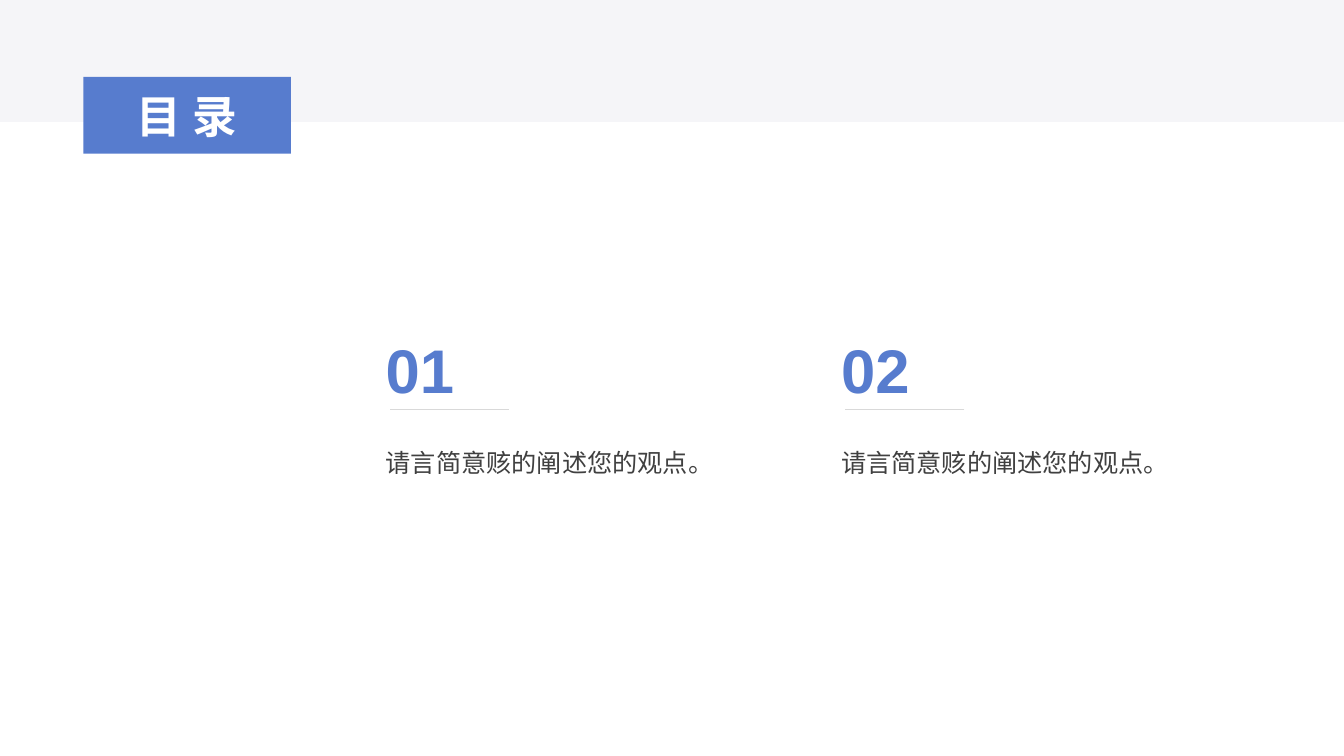
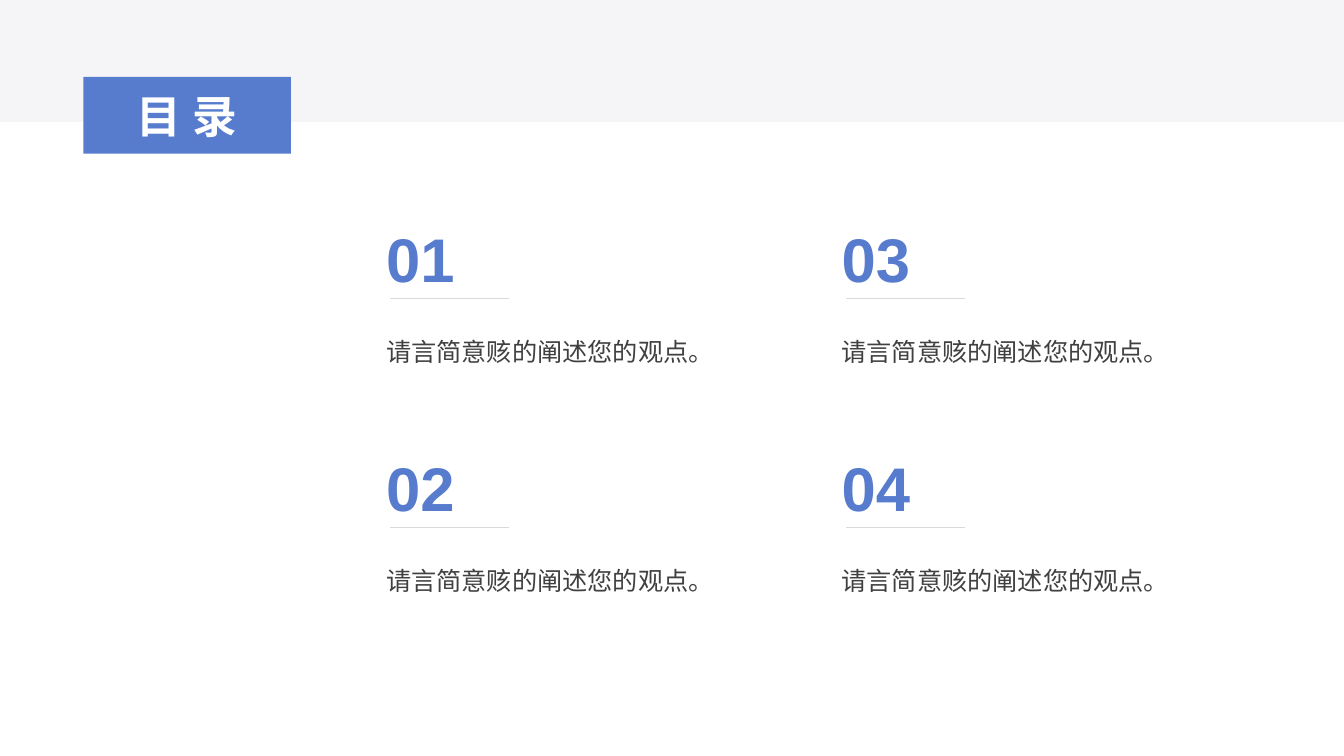
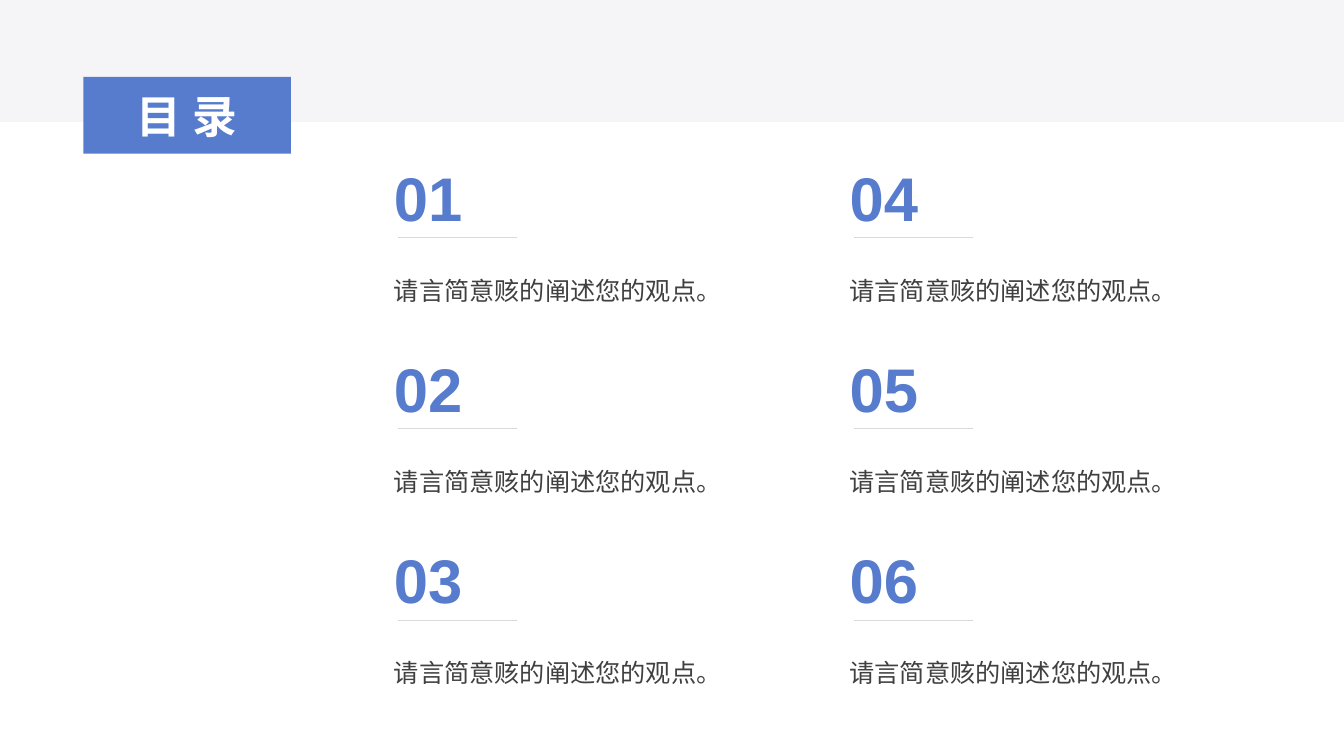
from lxml import etree
from pptx import Presentation
from pptx.dml.color import RGBColor
from pptx.enum.shapes import MSO_CONNECTOR, MSO_SHAPE
from pptx.enum.text import MSO_ANCHOR, PP_ALIGN
from pptx.oxml.ns import qn
from pptx.util import Cm, Pt

RECTANGLE = MSO_SHAPE.RECTANGLE
STRAIGHT = MSO_CONNECTOR.STRAIGHT
MIDDLE = MSO_ANCHOR.MIDDLE
LEFT, CENTER, JUSTIFY = PP_ALIGN.LEFT, PP_ALIGN.CENTER, PP_ALIGN.JUSTIFY

FONT = "Arial"
BLUE, BAND, TEXT, RULE, WHITE = "577CCE", "F5F5F8", "404040", "D9D9D9", "FFFFFF"
SLIDE_WIDTH, SLIDE_HEIGHT = 33.87, 19.05
COLUMNS, COLUMN_PITCH = 2, 11.48
ENTRY_TEXT = "请言简意赅的阐述您的观点。"

AGENDAS = [
    {"rows": 1, "left": 9.47, "top": 8.24, "pitch": 0, "text_height": 2.44},
    {"rows": 2, "left": 9.48, "top": 5.43, "pitch": 5.79, "text_height": 2.72},
    {"rows": 3, "left": 9.68, "top": 3.9, "pitch": 4.82, "text_height": 1.71},
]


def color(value):
    return RGBColor.from_string(value)


def write(shape, text, size, ink, align, bold=False):
    frame = shape.text_frame
    frame.word_wrap = True
    frame.text = text
    para = frame.paragraphs[0]
    para.alignment = align
    span = para.runs[0]
    span.font.name = FONT
    span.font.size = Pt(size)
    span.font.bold = bold
    span.font.color.rgb = color(ink)
    properties = span._r.get_or_add_rPr()
    etree.SubElement(properties, qn("a:ea")).set("typeface", FONT)
    return para


deck = Presentation()
deck.slide_width = Cm(SLIDE_WIDTH)
deck.slide_height = Cm(SLIDE_HEIGHT)
blank = deck.slide_layouts[6]

for agenda in AGENDAS:
    page = deck.slides.add_slide(blank)
    shapes = page.shapes

    band = shapes.add_shape(RECTANGLE, 0, 0, Cm(SLIDE_WIDTH), Cm(3.07))
    title = shapes.add_shape(RECTANGLE, Cm(2.1), Cm(1.94), Cm(5.23), Cm(1.93))
    for panel, fill in ((band, BAND), (title, BLUE)):
        panel.shadow.inherit = False
        panel.fill.solid()
        panel.fill.fore_color.rgb = color(fill)
        panel.line.fill.background()

    title.text_frame.vertical_anchor = MIDDLE
    heading = write(title, "目录", 32, WHITE, CENTER, bold=True)
    heading.runs[0]._r.get_or_add_rPr().set("spc", "800")

    for index in range(COLUMNS * agenda["rows"]):
        column, row = divmod(index, agenda["rows"])
        left = agenda["left"] + column * COLUMN_PITCH
        top = agenda["top"] + row * agenda["pitch"]

        text_box = shapes.add_textbox(
            Cm(left), Cm(top + 2.53), Cm(9), Cm(agenda["text_height"]))
        para = write(text_box, ENTRY_TEXT, 18, TEXT, JUSTIFY)
        para.line_spacing = 1.5
        para.space_after = Pt(20)

        number_box = shapes.add_textbox(Cm(left), Cm(top), Cm(2.3), Cm(2.13))
        write(number_box, f"{index + 1:02}", 44, BLUE, LEFT, bold=True)

        rule_y = Cm(top + 2.08)
        rule = shapes.add_connector(
            STRAIGHT, Cm(left + 3.35), rule_y, Cm(left + 0.35), rule_y)
        rule.line.color.rgb = color(RULE)
        rule.line.width = Pt(0.5)
        etree.SubElement(rule._element.spPr, qn("a:effectLst"))

deck.save("out.pptx")
